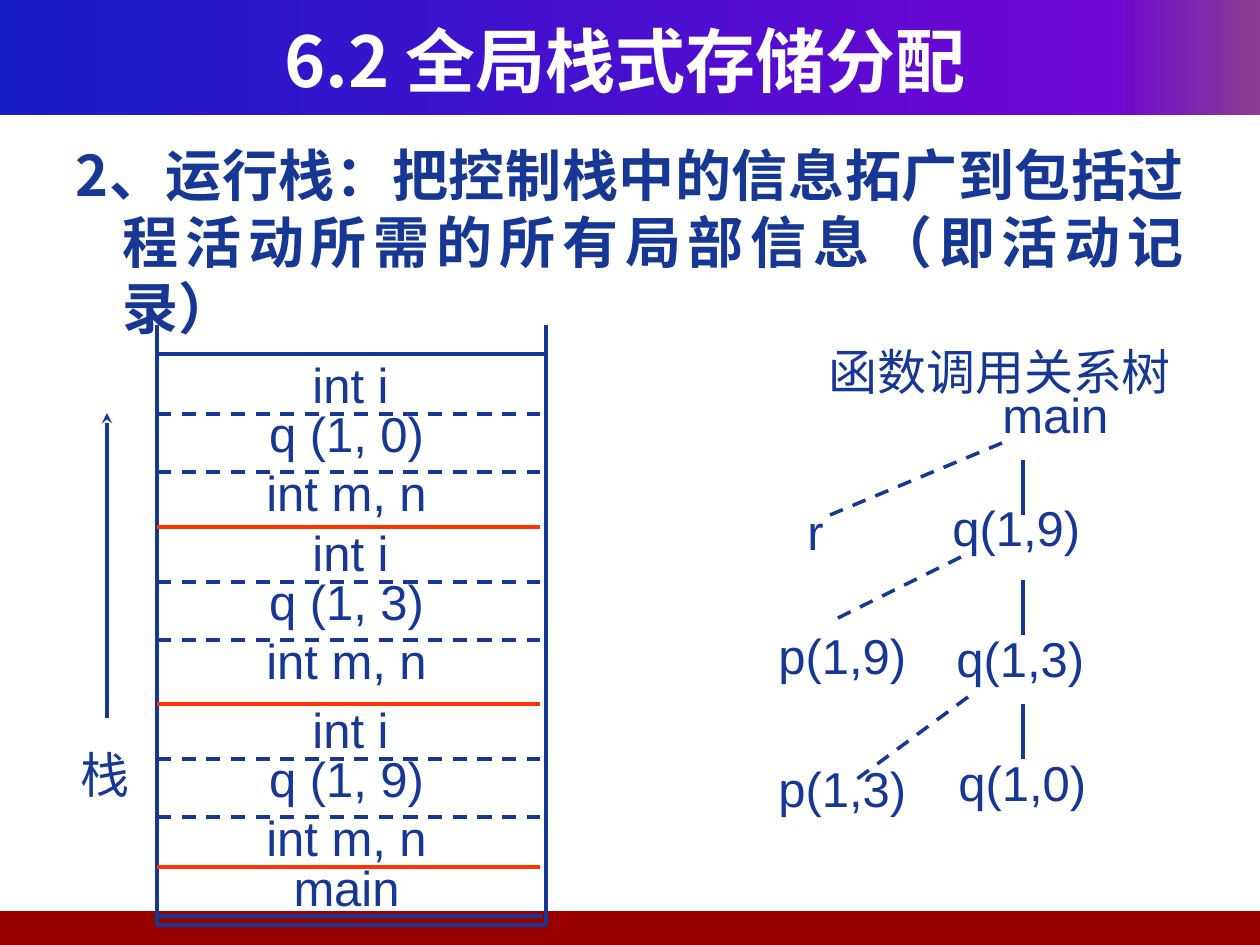
from dataclasses import dataclass

from lxml.etree import SubElement
from pptx import Presentation
from pptx.dml.color import RGBColor
from pptx.enum.dml import MSO_LINE
from pptx.enum.shapes import MSO_CONNECTOR, MSO_SHAPE
from pptx.enum.text import MSO_ANCHOR, PP_ALIGN
from pptx.oxml import parse_xml
from pptx.oxml.ns import nsdecls, qn
from pptx.util import Pt

PX = 914400 / 126


@dataclass(frozen=True)
class Theme:
    ink: str = "163794"
    boundary: str = "FF3300"
    footer: str = "990000"
    white: str = "FFFFFF"
    gradient: tuple = ((0, "0A128C"), (0, "181CC7"), (88, "7005D4"), (100, "8C3D91"))
    heading_font: str = "Noto Sans CJK SC"
    label_font: str = "Arial"
    caption_font: str = "Courier New"
    title_size: int = 40
    body_size: int = 32
    label_size: int = 28
    line_width: int = 2


THEME = Theme()


@dataclass(frozen=True)
class Box:
    left: int
    top: int
    width: int
    height: int

    def inner(self, left, top, width, height):
        """Return a box placed relative to this one."""
        return Box(self.left + left, self.top + top, width, height)

    def emu(self):
        """Return the four lengths in EMU."""
        return [px(n) for n in (self.left, self.top, self.width, self.height)]


def px(length):
    """Convert pixels to EMU."""
    return round(length * PX)


def write(shape, text, size=THEME.label_size, font=THEME.label_font,
          color=THEME.ink, bold=False, align=PP_ALIGN.LEFT):
    """Set the text of a shape and format its run."""
    frame = shape.text_frame
    frame.word_wrap = True
    frame.text = text
    paragraph = frame.paragraphs[0]
    paragraph.alignment = align
    run = paragraph.runs[0]
    run.font.size, run.font.name, run.font.bold = Pt(size), font, bold
    run.font.color.rgb = RGBColor.from_string(color)
    east_asian = SubElement(run.font._element, qn("a:ea"))
    east_asian.set("typeface", THEME.heading_font)
    return paragraph


def add_label(slide, box, text, **style):
    """Add a text box and return it."""
    shape = slide.shapes.add_textbox(*box.emu())
    write(shape, text, **style)
    return shape


def add_line(slide, box, start, end, color=THEME.ink, dashed=False):
    """Draw a straight line between two points of a box."""
    points = (box.left + start[0], box.top + start[1], box.left + end[0], box.top + end[1])
    connector = slide.shapes.add_connector(MSO_CONNECTOR.STRAIGHT, *map(px, points))
    connector.line.color.rgb = RGBColor.from_string(color)
    connector.line.width = Pt(THEME.line_width)
    if dashed:
        connector.line.dash_style = MSO_LINE.DASH
    SubElement(connector._element.spPr, qn("a:effectLst"))
    return connector


def add_rectangle(slide, box):
    """Add a rectangle with neither shadow nor line."""
    shape = slide.shapes.add_shape(MSO_SHAPE.RECTANGLE, *box.emu())
    shape.shadow.inherit = False
    shape.line.fill.background()
    return shape


def add_header(slide, box):
    """Add the gradient band and the slide title on it."""
    band = add_rectangle(slide, box)
    stops = "".join(
        f'<a:gs pos="{position * 1000}"><a:srgbClr val="{color}"/></a:gs>'
        for position, color in THEME.gradient)
    gradient = parse_xml(f'<a:gradFill {nsdecls("a")} rotWithShape="1"><a:gsLst>{stops}'
                         '</a:gsLst><a:lin ang="0" scaled="1"/></a:gradFill>')
    band._element.spPr.find(qn("a:prstGeom")).addnext(gradient)
    title = slide.shapes.title
    title.left, title.top, title.width, title.height = box.inner(42, 21, 1166, 78).emu()
    write(title, "6.2 全局栈式存储分配", size=THEME.title_size, font=THEME.heading_font,
          color=THEME.white, bold=True, align=PP_ALIGN.CENTER)
    title.text_frame.vertical_anchor = MSO_ANCHOR.MIDDLE
    band._element.addnext(title._element)


def add_footer(slide, box):
    """Add the plain band at the foot of the slide."""
    band = add_rectangle(slide, box)
    band.fill.solid()
    band.fill.fore_color.rgb = RGBColor.from_string(THEME.footer)


def add_definition(slide, box):
    """Add the numbered definition with a hanging indent."""
    shape = slide.shapes.add_textbox(*box.emu())
    paragraph = write(
        shape, "2、运行栈：把控制栈中的信息拓广到包括过程活动所需的所有局部信息（即活动记录）",
        size=THEME.body_size, font=THEME.heading_font, bold=True, align=PP_ALIGN.JUSTIFY)
    paragraph.line_spacing = Pt(38)
    properties = paragraph._element.get_or_add_pPr()
    properties.set("marL", str(px(47)))
    properties.set("indent", str(-px(47)))


def add_call_tree(slide, box):
    """Add the tree of calls with its caption."""
    add_label(slide, box.inner(50, 0, 374, 69), "函数调用关系树", font=THEME.caption_font)
    nodes = (("main", 224, 43), ("q(1,9)", 174, 156), ("r", 29, 160), ("p(1,9)", 0, 284),
             ("q(1,3)", 178, 287), ("q(1,0)", 180, 411), ("p(1,3)", 0, 417))
    for text, left, top in nodes:
        add_label(slide, box.inner(left, top, 178, 98), text)
    for top in (125, 245, 369):
        add_line(slide, box, (257, top), (257, top + 55))
    for start, end in (((236, 108), (64, 180)), ((195, 222), (64, 287)),
                       ((202, 362), (91, 444))):
        add_line(slide, box, start, end, dashed=True)


def add_stack_cell(slide, box, text):
    """Add one centred entry of the stack."""
    shape = add_label(slide, box, text, align=PP_ALIGN.CENTER)
    shape.text_frame.margin_top = px(11)


def add_activation_record(slide, box, call):
    """Add the three entries of a call, closed by a boundary line."""
    for text, left, top in (("int i", 9, 0), (call, 5, 49), ("int m, n", 5, 108)):
        add_stack_cell(slide, box.inner(left, top, 369, 78), text)
    for top in (70, 128):
        add_line(slide, box, (0, top), (box.width, top), dashed=True)
    add_line(slide, box, (0, box.height), (box.width, box.height), THEME.boundary)


def add_run_stack(slide, box):
    """Add the run-time stack and the arrow of its growth."""
    outline = add_rectangle(slide, box.inner(0, 29, box.width, box.height - 29))
    outline.fill.background()
    outline.line.color.rgb = RGBColor.from_string(THEME.ink)
    outline.line.width = Pt(THEME.line_width)
    for left in (0, box.width):
        add_line(slide, box, (left, 0), (left, 29))
    for call, top, height in (("q (1, 0)", 19, 183), ("q (1, 3)", 187, 192),
                              ("q (1, 9)", 364, 178)):
        add_activation_record(slide, box.inner(0, top, 383, height), call)
    add_stack_cell(slide, box.inner(5, 522, 369, 78), "main")
    add_line(slide, box, (0, 591), (385, 591))
    arrow = add_line(slide, box, (-50, 88), (-50, 393))
    SubElement(arrow.line._get_or_add_ln(), qn("a:headEnd")).set("type", "stealth")
    add_label(slide, box.inner(-89, 413, 79, 118), "栈")


def main():
    """Build the slide and save it."""
    presentation = Presentation()
    presentation.slide_width, presentation.slide_height = px(1260), px(945)
    slide = presentation.slides.add_slide(presentation.slide_layouts[5])
    add_header(slide, Box(0, 0, 1260, 115))
    add_footer(slide, Box(-5, 911, 1265, 34))
    add_definition(slide, Box(63, 135, 1134, 723))
    add_call_tree(slide, Box(766, 335, 424, 515))
    add_run_stack(slide, Box(157, 325, 389, 600))
    presentation.save("out.pptx")


if __name__ == "__main__":
    main()
